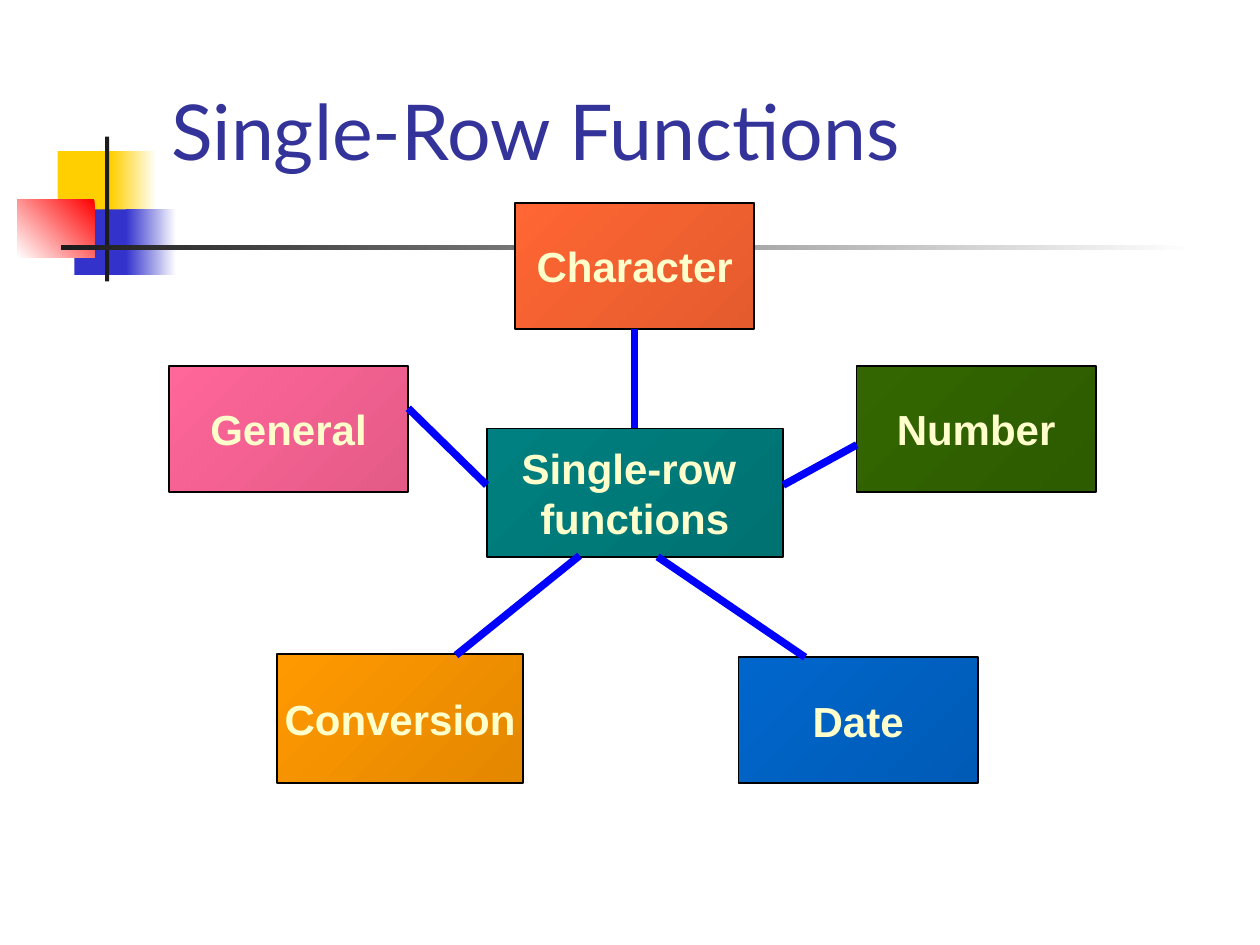
from dataclasses import dataclass
from typing import Optional

from lxml.etree import SubElement
from pptx import Presentation
from pptx.dml.color import RGBColor
from pptx.enum.shapes import MSO_CONNECTOR, MSO_SHAPE
from pptx.enum.text import MSO_ANCHOR, PP_ALIGN
from pptx.oxml.ns import qn
from pptx.util import Pt


@dataclass(frozen=True)
class Theme:
    title: str = "333399"
    label: str = "FFFFCC"
    outline: str = "000000"
    link: str = "0000FF"
    yellow: str = "FFCF01"
    blue: str = "3333CC"
    red: str = "FF0000"
    dark: str = "1C1C1C"
    white: str = "FFFFFF"
    title_font: str = "Lato"
    label_font: str = "Arial"
    title_size: float = 44
    label_size: float = 24
    outline_width: float = 1
    link_width: float = 4.31


THEME = Theme()


@dataclass(frozen=True)
class Block:
    """A rectangle in points; the angle runs counter-clockwise from start to end."""
    left: float
    top: float
    width: float
    height: float
    start: str
    end: Optional[str] = None
    angle: float = 0


@dataclass(frozen=True)
class Topic:
    lines: tuple[str, ...]
    block: Block


@dataclass(frozen=True)
class Link:
    x1: float
    y1: float
    x2: float
    y2: float


def rgb(value: str) -> RGBColor:
    return RGBColor.from_string(value)


def draw_block(slide, block: Block):
    rectangle = slide.shapes.add_shape(
        MSO_SHAPE.RECTANGLE, Pt(block.left), Pt(block.top), Pt(block.width), Pt(block.height))
    rectangle.shadow.inherit = False
    rectangle.line.fill.background()
    if block.end is None:
        rectangle.fill.solid()
        rectangle.fill.fore_color.rgb = rgb(block.start)
    else:
        rectangle.fill.gradient()
        rectangle.fill.gradient_angle = block.angle
        for stop, color in zip(rectangle.fill.gradient_stops, (block.start, block.end)):
            stop.color.rgb = rgb(color)
    return rectangle


def write_lines(frame, lines: tuple[str, ...], font_name: str, size: float,
                color: str, bold: bool, align: PP_ALIGN) -> None:
    frame.vertical_anchor = MSO_ANCHOR.MIDDLE
    frame.text = "\n".join(lines)
    for paragraph in frame.paragraphs:
        paragraph.alignment = align
        paragraph.font.name = font_name
        paragraph.font.size = Pt(size)
        paragraph.font.bold = bold
        paragraph.font.color.rgb = rgb(color)


def draw_topic(slide, topic: Topic):
    box = draw_block(slide, topic.block)
    box.line.color.rgb = rgb(THEME.outline)
    box.line.width = Pt(THEME.outline_width)
    box.text_frame.word_wrap = False
    write_lines(box.text_frame, topic.lines, THEME.label_font, THEME.label_size,
                THEME.label, True, PP_ALIGN.CENTER)
    return box


def draw_link(slide, link: Link):
    connector = slide.shapes.add_connector(
        MSO_CONNECTOR.STRAIGHT, Pt(link.x1), Pt(link.y1), Pt(link.x2), Pt(link.y2))
    connector.line.color.rgb = rgb(THEME.link)
    connector.line.width = Pt(THEME.link_width)
    SubElement(connector._element.spPr, qn("a:effectLst"))
    return connector


# Corner ornament and title rule
ORNAMENT = (
    Block(33, 86.4, 34.6, 37.4, THEME.yellow),
    Block(63.4, 86.4, 26, 37.4, THEME.yellow, THEME.white),
    Block(42.5, 119.7, 33.1, 37.4, THEME.blue),
    Block(72, 119.7, 28.8, 37.4, THEME.blue, THEME.white),
    Block(10, 113.8, 44, 33.3, THEME.red, THEME.white, 225),
    Block(60, 78, 2.4, 82.8, THEME.dark),
    Block(34.8, 140.2, 648, 2.4, THEME.dark, THEME.white),
)

# Central topic and the function families around it
BOX_W, BOX_H = 136.8, 72
SLOPE = 315
CHARACTER = Topic(("Character",), Block(294.3, 115.9, BOX_W, BOX_H, "FF6633", "E45B2D", SLOPE))
CENTER = Topic(("Single-row ", "functions"),
               Block(278.1, 244.8, 169.2, 73.4, "008080", "007272", SLOPE))
FAMILIES = (
    Topic(("Conversion",), Block(158.4, 373.9, 140.4, 73.4, "FF9900", "E48800", SLOPE)),
    Topic(("Number",), Block(489.4, 209, BOX_W, BOX_H, "336600", "2D5B00", SLOPE)),
    Topic(("General",), Block(96.5, 209, BOX_W, BOX_H, "FF6699", "E45B88", SLOPE)),
    Topic(("Date",), Block(422, 375.6, BOX_W, BOX_H, "0066CC", "005BB6", SLOPE)),
)

LINKS = (
    Link(233.3, 233.3, 278.1, 277.2),  # General
    Link(447.6, 277.2, 489.6, 254.2),  # Number
    Link(375.8, 318.2, 460.1, 375.6),  # Date
    Link(260.6, 374.4, 331.2, 317.5),  # Conversion
)


def main() -> None:
    presentation = Presentation()
    presentation.slide_width, presentation.slide_height = Pt(720), Pt(540)
    slide = presentation.slides.add_slide(presentation.slide_layouts[6])

    for block in ORNAMENT:
        draw_block(slide, block)

    # Title
    title = slide.shapes.add_textbox(Pt(90.7), Pt(16.6), Pt(613.4), Pt(115.2))
    title.text_frame.word_wrap = True
    write_lines(title.text_frame, ("Single-Row Functions",), THEME.title_font,
                THEME.title_size, THEME.title, False, PP_ALIGN.LEFT)

    # Topics
    character = draw_topic(slide, CHARACTER)
    center = draw_topic(slide, CENTER)
    for family in FAMILIES:
        draw_topic(slide, family)

    # Links
    for link in LINKS:
        draw_link(slide, link)
    trunk = draw_link(slide, Link(362.7, 187.9, 362.7, 244.8))
    trunk.begin_connect(character, 2)
    trunk.end_connect(center, 0)

    presentation.save("out.pptx")


if __name__ == "__main__":
    main()
